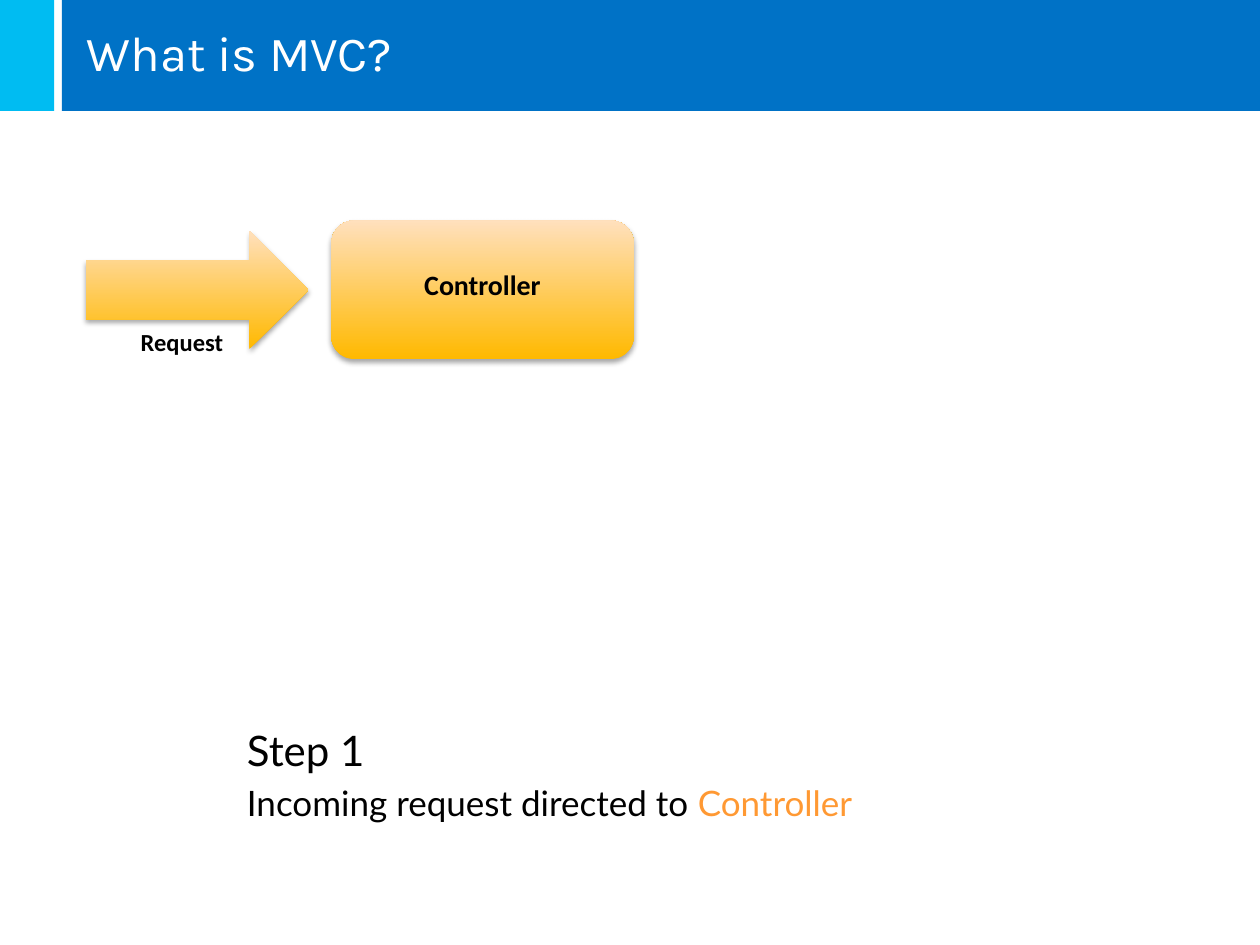
from lxml import etree
from pptx import Presentation
from pptx.dml.color import RGBColor
from pptx.enum.shapes import MSO_SHAPE
from pptx.enum.text import MSO_ANCHOR, MSO_AUTO_SIZE, PP_ALIGN
from pptx.oxml import parse_xml
from pptx.oxml.ns import nsdecls, qn
from pptx.util import Inches, Pt

BLUE = RGBColor(0x00, 0x72, 0xC6)
CYAN = RGBColor(0x00, 0xBC, 0xF2)
AMBER = RGBColor(0xFF, 0xB9, 0x00)
PEACH = RGBColor(0xFF, 0xE0, 0xBD)
ORANGE = RGBColor(0xFF, 0x99, 0x33)
BLACK = RGBColor(0, 0, 0)
WHITE = RGBColor(0xFF, 0xFF, 0xFF)

SHADOW = (
    f'<a:outerShdw {nsdecls("a")} blurRad="{Pt(3.1)}" dist="{Pt(1.8)}" '
    'dir="5400000" rotWithShape="0">'
    '<a:srgbClr val="000000"><a:alpha val="35000"/></a:srgbClr></a:outerShdw>'
)


def place(shape, left, top, width, height):
    shape.left, shape.top = Inches(left), Inches(top)
    shape.width, shape.height = Inches(width), Inches(height)


def set_frame(shape, anchor, margins=(0.1, 0.05, 0.1, 0.05)):
    """Set wrapping, anchor and margins (left, top, right, bottom)."""
    frame = shape.text_frame
    frame.word_wrap = True
    frame.auto_size = MSO_AUTO_SIZE.NONE
    frame.vertical_anchor = anchor
    (frame.margin_left, frame.margin_top,
     frame.margin_right, frame.margin_bottom) = map(Inches, margins)
    return frame


def write(paragraph, text, *, font, size, color=BLACK, bold=False, align=PP_ALIGN.LEFT):
    paragraph.alignment = align
    run = paragraph.add_run()
    run.text = text
    run.font.name = font
    run.font.size = Pt(size)
    run.font.bold = bold
    run.font.color.rgb = color


def add_header_bar(slide, left, width, color):
    """Add a plain bar behind the placeholders."""
    bar = slide.shapes.add_shape(
        MSO_SHAPE.RECTANGLE, Inches(left), 0, Inches(width), Inches(0.88))
    bar.shadow.inherit = False
    bar.fill.solid()
    bar.fill.fore_color.rgb = color
    bar.line.fill.background()
    slide.shapes.title._element.addprevious(bar._element)


def add_glossy_shape(slide, kind, *box):
    """Add a shape that fades upwards from amber to peach, with a soft shadow."""
    shape = slide.shapes.add_shape(kind, *map(Inches, box))
    shape.fill.gradient()
    shape.fill.gradient_angle = 90
    for stop, position, color in zip(shape.fill.gradient_stops, (0, 1), (AMBER, PEACH)):
        stop.position = position
        stop.color.rgb = color
    shape.line.fill.background()
    shape.shadow.inherit = False
    effects = shape._element.spPr.find(qn("a:effectLst"))
    effects.append(parse_xml(SHADOW))
    return shape


def format_step_paragraph(paragraph):
    properties = paragraph._p.get_or_add_pPr()
    etree.SubElement(properties, qn("a:buNone"))
    properties.set("marL", str(Inches(0.38)))
    properties.set("indent", str(Inches(-0.38)))


def add_title(slide):
    place(slide.shapes.title, 0.49, 0, 9.51, 0.88)
    frame = set_frame(slide.shapes.title, MSO_ANCHOR.MIDDLE, (0.2, 0, 0.2, 0.05))
    write(frame.paragraphs[0], "What is MVC?", font="Karla", size=28, color=WHITE)


def add_step(slide):
    body = slide.placeholders[1]
    place(body, 1.86, 5.7, 8.14, 1.26)
    frame = set_frame(body, MSO_ANCHOR.TOP)
    heading, detail = frame.paragraphs[0], frame.add_paragraph()
    for paragraph in (heading, detail):
        format_step_paragraph(paragraph)
    heading.space_before = Pt(0)
    detail.space_before = Pt(4)
    write(heading, "Step 1", font="Lato", size=24)
    write(detail, "Incoming request directed to ", font="Lato", size=20)
    write(detail, "Controller", font="Lato", size=20, color=ORANGE)


def add_request_flow(slide):
    add_glossy_shape(slide, MSO_SHAPE.RIGHT_ARROW, 0.68, 1.83, 1.77, 0.94)
    request = slide.shapes.add_textbox(*map(Inches, (0.68, 2.54, 1.53, 0.34)))
    controller = add_glossy_shape(
        slide, MSO_SHAPE.ROUNDED_RECTANGLE, 2.63, 1.75, 2.4, 1.1)
    request_frame = set_frame(request, MSO_ANCHOR.MIDDLE)
    controller_frame = set_frame(controller, MSO_ANCHOR.MIDDLE, (0.1, 0.05, 0.1, 0.13))
    for frame, text, size in ((request_frame, "Request", 14),
                              (controller_frame, "Controller", 16)):
        write(frame.paragraphs[0], text, font="Calibri", size=size,
              bold=True, align=PP_ALIGN.CENTER)


def main():
    presentation = Presentation()
    presentation.slide_width = Inches(10)
    presentation.slide_height = Inches(7.5)
    slide = presentation.slides.add_slide(presentation.slide_layouts[1])
    add_header_bar(slide, 0.49, 9.51, BLUE)
    add_header_bar(slide, 0, 0.43, CYAN)
    add_title(slide)
    add_step(slide)
    add_request_flow(slide)
    presentation.save("out.pptx")


if __name__ == "__main__":
    main()
